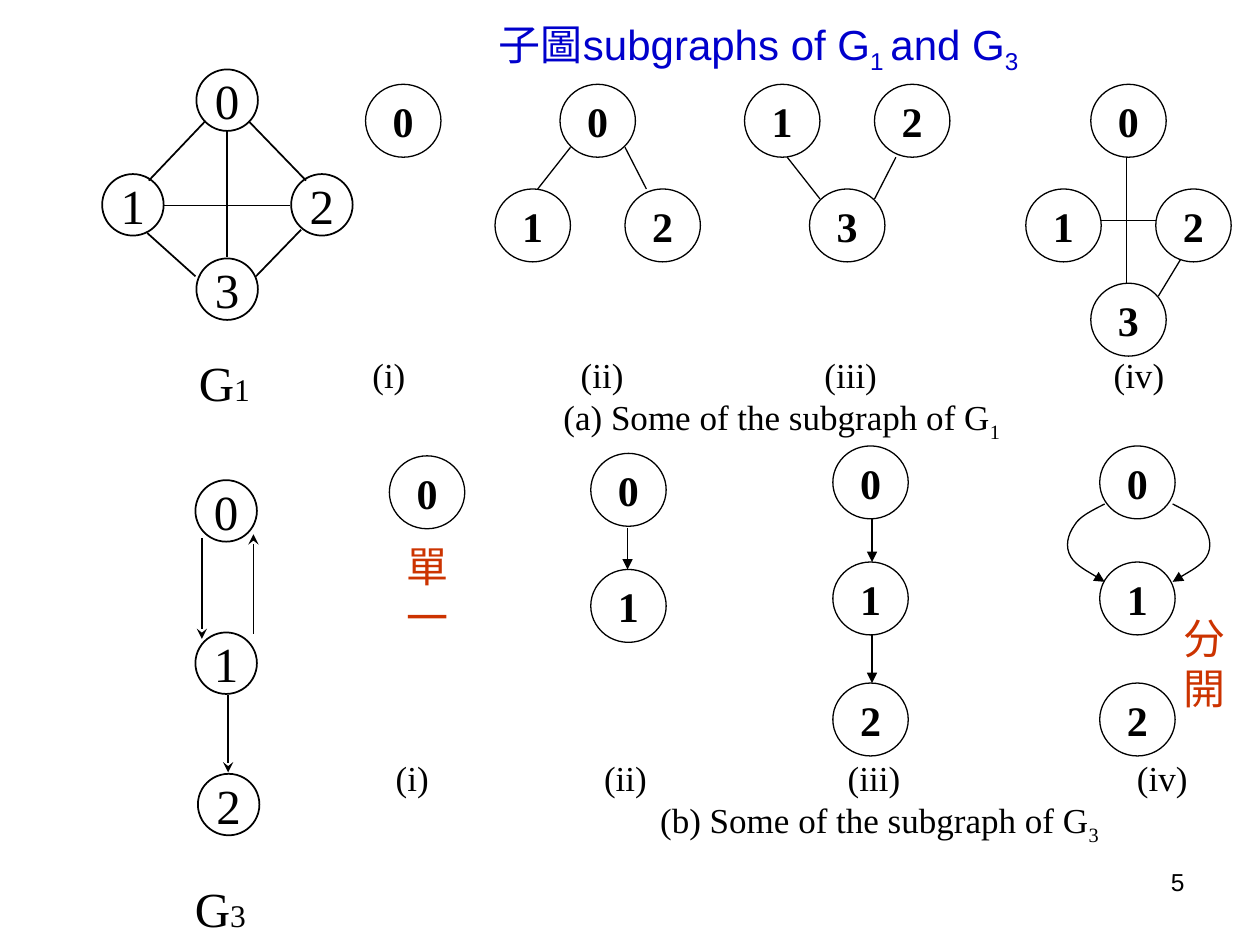
from lxml import etree
from pptx import Presentation
from pptx.dml.color import RGBColor
from pptx.enum.shapes import MSO_CONNECTOR, MSO_SHAPE
from pptx.enum.text import MSO_ANCHOR, PP_ALIGN
from pptx.oxml.ns import qn
from pptx.util import Cm, Pt

OVAL, LINE = MSO_SHAPE.OVAL, MSO_CONNECTOR.STRAIGHT
MID, TOP = MSO_ANCHOR.MIDDLE, MSO_ANCHOR.TOP
LEFT, CENTER, RIGHT = PP_ALIGN.LEFT, PP_ALIGN.CENTER, PP_ALIGN.RIGHT
SERIF, SANS = "Times New Roman", "Arial"
COLORS = {"ink": "000000", "paper": "FFFFFF", "title": "0000CC", "note": "CC3300"}
MAIN = {"w": 1.24, "h": 1.24, "size": 28, "bold": False, "fill": "paper",
        "line": 1, "head": "stealth"}
SUB = {"w": 1.52, "h": 1.47, "size": 24, "bold": True, "fill": None,
       "line": 0.75, "head": "triangle"}
STOPS = (0.53, 4.83, 9.84, 15.65)


def color(name):
    """Look up a named colour."""
    return RGBColor.from_string(COLORS[name])


def add_run(para, text, size, font=SERIF, ink="ink", bold=False, base=0):
    """Add one formatted run, lowered when base is negative."""
    run = para.add_run()
    run.text = text
    run.font.size, run.font.name, run.font.bold = Pt(size), font, bold
    run.font.color.rgb = color(ink)
    if base:
        run.font._element.set("baseline", str(base * 1000))


def add_text(slide, box, runs, align=LEFT, anchor=TOP):
    """Place a one-line text box made of (text, size, format) runs."""
    frame = slide.shapes.add_textbox(*map(Cm, box)).text_frame
    frame.word_wrap, frame.vertical_anchor = False, anchor
    para = frame.paragraphs[0]
    para.alignment = align
    for text, size, form in runs:
        add_run(para, text, size, **form)


def ink_line(shape, style, arrow):
    """Draw the outline of a link, with an arrowhead if asked."""
    shape.line.color.rgb = color("ink")
    shape.line.width = Pt(style["line"])
    if arrow:
        etree.SubElement(shape.line._get_or_add_ln(), qn("a:tailEnd"),
                         type=style["head"])


def add_node(slide, x, y, text, style):
    """Draw a numbered vertex."""
    node = slide.shapes.add_shape(OVAL, Cm(x), Cm(y), Cm(style["w"]), Cm(style["h"]))
    node.shadow.inherit = False
    if style["fill"]:
        node.fill.solid()
        node.fill.fore_color.rgb = color(style["fill"])
    else:
        node.fill.background()
    ink_line(node, style, False)
    frame = node.text_frame
    frame.word_wrap, frame.vertical_anchor = False, MID
    frame.paragraphs[0].alignment = CENTER
    add_run(frame.paragraphs[0], text, style["size"], bold=style["bold"])


def add_graph(slide, box, nodes, edges, style, arrow=False):
    """Draw vertices numbered by key and straight edges from the box corner."""
    left, top = box
    for name, (x, y) in nodes.items():
        add_node(slide, left + x, top + y, str(name), style)
    for x1, y1, x2, y2 in edges:
        edge = slide.shapes.add_connector(
            LINE, Cm(left + x1), Cm(top + y1), Cm(left + x2), Cm(top + y2))
        ink_line(edge, style, arrow)
        etree.SubElement(edge._element.spPr, qn("a:effectLst"))


def add_curve(slide, box, points):
    """Draw a curved arrow through a start point and Bezier triples."""
    spots = [(Cm(box[0] + x), Cm(box[1] + y)) for x, y in points]
    build = slide.shapes.build_freeform(*spots[0])
    build.add_line_segments(spots[1:], close=False)
    curve = build.convert_to_shape()
    curve.shadow.inherit = False
    curve.fill.background()
    ink_line(curve, SUB, True)
    track = curve._element.find(".//" + qn("a:path"))
    steps = track.findall(qn("a:lnTo"))
    for i in range(0, len(steps), 3):
        bend = etree.SubElement(track, qn("a:cubicBezTo"))
        for step in steps[i:i + 3]:
            bend.append(step[0])
            track.remove(step)


def add_caps(slide, box, text, sub, stop):
    """Place the row of roman numerals and its caption on centred tabs."""
    frame = slide.shapes.add_textbox(*map(Cm, box)).text_frame
    frame.word_wrap = True
    names, cap = frame.paragraphs[0], frame.add_paragraph()
    for para, stops in ((names, STOPS), (cap, (stop,))):
        tabs = etree.SubElement(para._p.get_or_add_pPr(), qn("a:tabLst"))
        for pos in stops:
            etree.SubElement(tabs, qn("a:tab"), pos=str(Cm(pos)), algn="ctr")
    add_run(names, "\t(i)\t(ii)\t(iii)\t(iv)", 20)
    add_run(cap, "\t" + text, 20)
    add_run(cap, sub, 20, base=-25)


def add_title(slide, box):
    """Move and fill the title placeholder."""
    title = slide.shapes.title
    title.left, title.top, title.width, title.height = map(Cm, box)
    frame = title.text_frame
    frame.vertical_anchor = MID
    para = frame.paragraphs[0]
    para.alignment = CENTER
    for text, base in (("子圖subgraphs of G", 0), ("1 ", -25), ("and G", 0), ("3", -25)):
        add_run(para, text, 24, SANS, "title", base=base)


def add_main(slide):
    """Draw the full graphs G1 and G3 with their names."""
    add_graph(slide, (2.06, 1.4),
              {0: (1.9, 0), 1: (0, 2.11), 2: (3.81, 2.11), 3: (1.9, 3.81)},
              [(2.51, 1.24, 2.51, 3.78), (1.24, 2.74, 3.78, 2.74),
               (2.08, 1.04, 0.94, 2.24), (2.95, 1.04, 4.11, 2.24),
               (0.91, 3.3, 1.88, 4.17), (4.01, 3.23, 3.1, 4.17)], MAIN)
    add_graph(slide, (3.94, 9.68), {0: (0, 0), 1: (0, 3.07), 2: (0.05, 5.92)},
              [(0.66, 4.34, 0.66, 5.89), (1.17, 3.1, 1.17, 1.09),
               (0.13, 1.17, 0.13, 3.2)], MAIN, True)
    for x, y, num in ((3.76, 6.99, "1"), (3.68, 17.58, "3")):
        add_text(slide, (x, y, 1.55, 1.45), [("G", 28, {}), (num, 18, {})])


def add_upper(slide, top):
    """Draw the subgraphs of G1."""
    fork = {0: (1.31, 0), 1: (0, 2.11), 2: (2.62, 2.11)}
    add_graph(slide, (7.37, top), {0: (0, 0)}, [], SUB)
    add_graph(slide, (9.98, top), fork,
              [(1.52, 1.27, 0.86, 2.11), (2.62, 1.27, 3.05, 2.11)], SUB)
    add_graph(slide, (15.01, top), {1: (0, 0), 2: (2.62, 0), 3: (1.31, 2.11)},
              [(1.52, 2.31, 0.86, 1.47), (2.62, 2.31, 3.05, 1.47)], SUB)
    add_graph(slide, (20.68, top), {**fork, 3: (1.31, 4.01)},
              [(1.52, 2.74, 2.62, 2.74), (2.03, 1.47, 2.03, 4.01),
               (3.12, 3.53, 2.67, 4.27)], SUB)
    add_caps(slide, (7.06, top + 5.31, 17.3, 1.9), "(a) Some of the subgraph of G", "1", 8.45)


def add_lower(slide, top):
    """Draw the subgraphs of G3."""
    chain = {0: (0, 0), 1: (0, 2.34), 2: (0, 4.78)}
    add_graph(slide, (7.85, top + 0.2), {0: (0, 0)}, [], SUB)
    add_graph(slide, (11.91, top + 0.15), {0: (0, 0), 1: (0, 2.34)},
              [(0.74, 1.5, 0.74, 2.34)], SUB, True)
    add_graph(slide, (16.79, top), chain,
              [(0.79, 1.47, 0.79, 2.34), (0.79, 3.81, 0.79, 4.78)], SUB, True)
    last = (22.17, top)
    add_graph(slide, last, chain, [], SUB)
    arc = [(0.1, 1.17), (-0.15, 1.3), (-0.41, 1.42), (-0.51, 1.6), (-0.64, 1.78),
           (-0.71, 2.03), (-0.58, 2.24), (-0.48, 2.41), (0, 2.67), (0.1, 2.74)]
    add_curve(slide, last, arc)
    add_curve(slide, last, [(1.57 - x, y) for x, y in arc])
    add_caps(slide, (7.53, top + 6.14, 17.3, 1.9), "(b) Some of the subgraph of G", "3", 9.95)
    for x, y, text in ((23.19, 3.74, "分開"), (7.52, 2.29, "單一")):
        add_text(slide, (x, top + y, 2.18, 1.27), [(text, 24, {"ink": "note"})],
                 CENTER, MID)


def main():
    """Build and save the slide."""
    deck = Presentation()
    deck.slide_width, deck.slide_height = Cm(25.4), Cm(19.05)
    slide = deck.slides.add_slide(deck.slide_layouts[5])
    add_title(slide, (4.5, 0, 21.59, 1.9))
    add_upper(slide, 1.7)
    add_lower(slide, 8.99)
    add_main(slide)
    add_text(slide, (18.21, 17.35, 5.92, 1.32), [("5", 14, {"font": SANS})], RIGHT)
    deck.save("out.pptx")


if __name__ == "__main__":
    main()
